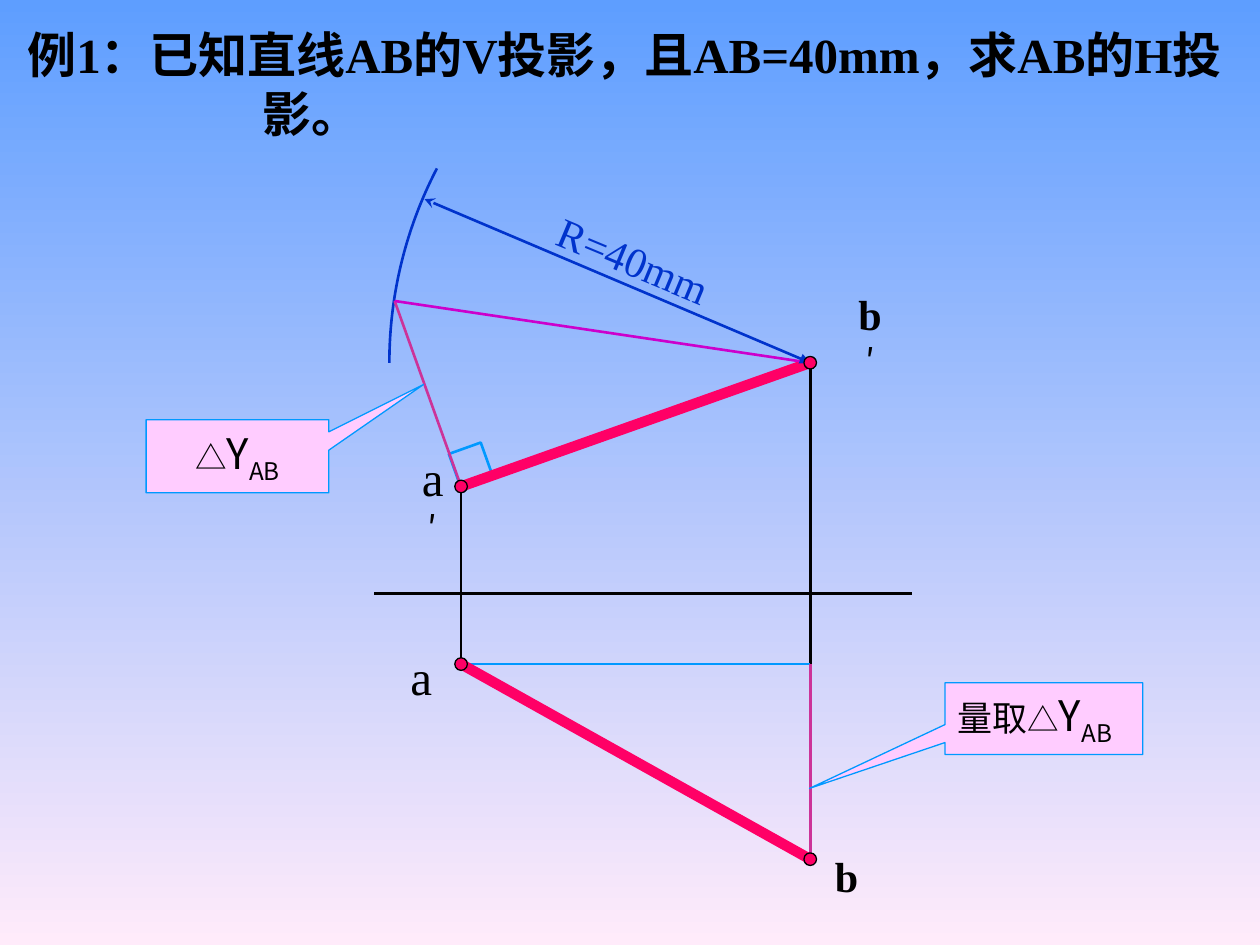
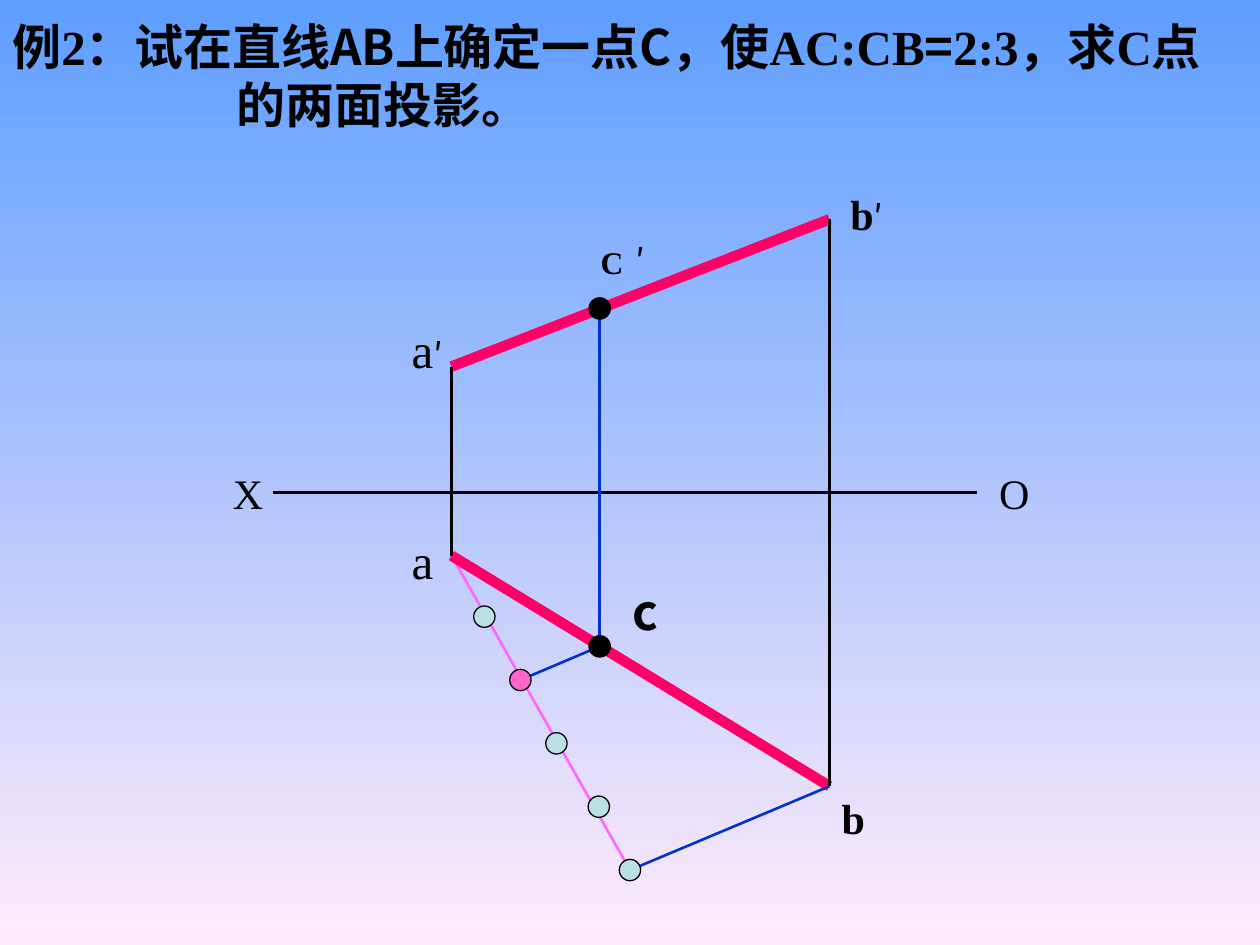
import pptx
import pptx.util
import pptx.dml.color
import pptx.enum.shapes
import pptx.enum.text
import pptx.oxml
import pptx.oxml.ns
from dataclasses import dataclass

Pt = pptx.util.Pt
RGB = pptx.dml.color.RGBColor.from_string
Shape = pptx.enum.shapes.MSO_SHAPE
Anchor = pptx.enum.text.MSO_ANCHOR
Align = pptx.enum.text.PP_ALIGN
NAMESPACE = pptx.oxml.ns.nsdecls("a")


@dataclass(frozen=True)
class Theme:
    sky: str = "5E9EFF"
    blush: str = "FFEBFA"
    black: str = "000000"
    segment: str = "FF0066"
    blue: str = "0033CC"
    cyan: str = "0099FF"
    difference: str = "CC3399"
    true_length: str = "CC00CC"
    ray: str = "FF66FF"
    callout: str = "FFCCFF"
    division: str = "BBE0E3"
    chosen: str = "FF66CC"
    cjk: str = "Noto Sans CJK SC"
    roman: str = "Times New Roman"
    large: int = 28
    medium: int = 24
    prime: int = 20
    small: int = 18
    thin: float = 0.75
    normal: float = 1.5
    thick: float = 6


theme = Theme()


def write(shape, runs, color=theme.black, align=Align.LEFT, anchor=Anchor.TOP,
          wrap=True, hanging=0):
    """Fill shape with one paragraph; runs are (text, size, font, bold, baseline)."""
    frame = shape.text_frame
    frame.word_wrap = wrap
    frame.vertical_anchor = anchor
    para = frame.paragraphs[0]
    para.alignment = align
    if hanging:
        properties = para._p.get_or_add_pPr()
        properties.set("marL", str(Pt(hanging)))
        properties.set("indent", str(-Pt(hanging)))
    for text, size, font, bold, baseline in runs:
        span = para.add_run()
        span.text = text
        span.font.size = Pt(size)
        span.font.bold = bold
        span.font.color.rgb = RGB(color)
        span.font.name = font
        properties = span._r.get_or_add_rPr()
        properties.append(pptx.oxml.parse_xml(f'<a:ea {NAMESPACE} typeface="{font}"/>'))
        if baseline:
            properties.set("baseline", str(baseline * 1000))


def draw_line(page, start, end, color, weight=theme.normal, head=None, tail=None):
    """Draw a straight line; head is the arrowhead at start, tail the one at end."""
    line = page.shapes.add_connector(
        pptx.enum.shapes.MSO_CONNECTOR.STRAIGHT, *map(Pt, start + end))
    line.line.color.rgb = RGB(color)
    line.line.width = Pt(weight)
    for tag, arrow in (("headEnd", head), ("tailEnd", tail)):
        if arrow:
            line.line._get_or_add_ln().append(
                pptx.oxml.parse_xml(f'<a:{tag} {NAMESPACE} type="{arrow}"/>'))
    line._element.spPr.append(pptx.oxml.parse_xml(f"<a:effectLst {NAMESPACE}/>"))


deck = pptx.Presentation()
deck.slide_width, deck.slide_height = Pt(720), Pt(540)

# Titles: pieces between bars alternate between the CJK and the roman font
titles = [
    ("例|1|：已知直线|AB|的|V|投影，且|AB=40mm|，求|AB|的|H|投影。",
     (8.6, 12.2, 708.5, 70.6), 134.6),
    ("例|2|：试在直线AB上确定一点C，使|AC:CB|=|2:3|，求|C|点的两面投影。",
     (0, -2.2, 720, 90), 128.2),
]
pages = []
for title, place, hanging in titles:
    page = deck.slides.add_slide(deck.slide_layouts[6])
    fill = page.background.fill
    fill.gradient()
    fill.gradient_angle = 270
    for stop, color, position in zip(fill.gradient_stops, (theme.sky, theme.blush), (0, 1)):
        stop.color.rgb = RGB(color)
        stop.position = position
    box = page.shapes.add_textbox(*map(Pt, place))
    fonts = (theme.cjk, theme.roman)
    write(box, [(piece, theme.large, fonts[index % 2], True, 0)
                for index, piece in enumerate(title.split("|"))],
          anchor=Anchor.MIDDLE, hanging=hanging)
    pages.append(page)
length_page, ratio_page = pages

# Example 1: true length by a right triangle
a_front, b_front = (263.5, 278), (463, 207.3)
a_top, b_top = (263.5, 379.5), (463, 491)
apex, corner = (225.5, 172), (463, 379.5)
radius = 240.5

square = length_page.shapes.add_shape(Shape.RECTANGLE, Pt(259.2), Pt(255.6), Pt(19.4), Pt(19.4))
square.rotation = 340.3
arc = length_page.shapes.add_shape(
    Shape.ARC, Pt(b_front[0] - radius), Pt(b_front[1] - radius), Pt(2 * radius), Pt(2 * radius))
for index, degrees in enumerate((180, 207.5)):
    arc.adjustments[index] = degrees * 0.6
for outline, color in ((square, theme.cyan), (arc, theme.blue)):
    outline.shadow.inherit = False
    outline.fill.background()
    outline.line.color.rgb = RGB(color)
    outline.line.width = Pt(theme.normal)

for start, end, color, weight in [
    ((214, 339), (521, 339), theme.black, theme.normal),
    (a_front, a_top, theme.black, theme.normal),
    (b_front, corner, theme.black, theme.normal),
    (a_front, b_front, theme.segment, theme.thick),
    (apex, a_front, theme.difference, theme.normal),
    (apex, b_front, theme.true_length, theme.normal),
    (a_top, corner, theme.cyan, theme.normal),
    (corner, b_top, theme.difference, theme.normal),
    (a_top, b_top, theme.segment, theme.thick),
]:
    draw_line(length_page, start, end, color, weight)
draw_line(length_page, b_front, (242.6, 113.8), theme.blue, head="triangle", tail="stealth")

radius_label = length_page.shapes.add_textbox(Pt(292), Pt(130.5), Pt(140), Pt(36))
radius_label.rotation = 22.6
write(radius_label, [("R=40mm", theme.medium, theme.roman, False, 0)], color=theme.blue,
      align=Align.CENTER, anchor=Anchor.MIDDLE)

delta_y = [("△", theme.small, theme.cjk, False, 0),
           ("Y", theme.medium, theme.cjk, False, 0),
           ("AB", theme.medium, theme.cjk, False, -25)]
measure = [("量取", theme.prime, theme.cjk, False, 0)]
for place, pointer, runs, align in [
    ((540, 390.2, 113, 41), (-1.185, 0.973), measure + delta_y, Align.LEFT),
    ((83.5, 239.8, 104.4, 41.8), (1.019, -0.982), delta_y, Align.CENTER),
]:
    callout = length_page.shapes.add_shape(Shape.RECTANGULAR_CALLOUT, *map(Pt, place))
    callout.adjustments[0], callout.adjustments[1] = pointer
    callout.shadow.inherit = False
    callout.fill.solid()
    callout.fill.fore_color.rgb = RGB(theme.callout)
    callout.line.color.rgb = RGB(theme.cyan)
    callout.line.width = Pt(theme.thin)
    write(callout, runs, align=align, anchor=Anchor.MIDDLE, wrap=False)

# Example 2: dividing the segment in the ratio 2:3
a2_front, b2_front, c2_front = (258, 209.5), (474, 125.3), (342.7, 176.3)
a2_top, b2_top, c2_top = (258, 317.5), (474, 449.3), (342.7, 369.4)
division_xs = (276.8, 297.4, 318, 342.2, 360)
divisions = [(x, 352.4 + 36.2 * step) for step, x in enumerate(division_xs)]

for start, end, color, weight in [
    ((156, 281.3), (558, 281.3), theme.black, theme.normal),
    (a2_top, divisions[-1], theme.ray, theme.normal),
    (a2_front, b2_front, theme.segment, theme.thick),
    (a2_top, b2_top, theme.segment, theme.thick),
    (a2_front, a2_top, theme.black, theme.normal),
    (b2_front, b2_top, theme.black, theme.normal),
    (divisions[-1], b2_top, theme.blue, theme.normal),
    (divisions[1], c2_top, theme.blue, theme.normal),
    (c2_top, c2_front, theme.blue, theme.normal),
]:
    draw_line(ratio_page, start, end, color, weight)

# Point marks
marks = [(length_page, point, 7.2, theme.segment) for point in (a_front, b_front, a_top, b_top)]
marks += [(ratio_page, point, 12.2, theme.chosen if step == 1 else theme.division)
          for step, point in enumerate(divisions)]
marks += [(ratio_page, point, 12.2, theme.black) for point in (c2_front, c2_top)]
for page, (x, y), size, color in marks:
    dot = page.shapes.add_shape(
        Shape.OVAL, Pt(x - size / 2), Pt(y - size / 2), Pt(size), Pt(size))
    dot.shadow.inherit = False
    dot.fill.solid()
    dot.fill.fore_color.rgb = RGB(color)
    dot.line.color.rgb = RGB(theme.black)
    dot.line.width = Pt(theme.thin)

# Point labels
a_name = ("a", theme.large, theme.roman, False, 0)
b_name = ("b", theme.medium, theme.roman, True, 0)
prime = ("′", theme.prime, theme.cjk, False, 0)
centred = dict(align=Align.CENTER, anchor=Anchor.MIDDLE)
for page, place, runs, layout in [
    (length_page, (231.8, 264.2, 31, 41), [a_name, prime], centred),
    (length_page, (481, 173.5, 32.4, 36), [b_name, prime], centred),
    (length_page, (227.5, 365.8, 26.6, 41), [a_name], centred),
    (length_page, (465.8, 482.4, 36, 36), [b_name], centred),
    (ratio_page, (228.2, 299.5, 41.8, 41), [a_name], {}),
    (ratio_page, (473.8, 449.3, 48.2, 36), [b_name], {}),
    (ratio_page, (228.2, 179.3, 48.2, 41), [a_name, prime], {}),
    (ratio_page, (478.8, 104.4, 66.2, 36), [b_name, prime], {}),
    (ratio_page, (336.2, 125.3, 72, 41),
     [("C", theme.small, theme.roman, True, 0), (" ", theme.large, theme.roman, False, 0), prime], {}),
    (ratio_page, (354.2, 329, 54, 41), [("c", theme.large, theme.cjk, True, 0)], {}),
    (ratio_page, (126, 263.5, 30.2, 36), [("X", theme.medium, theme.roman, False, 0)], {}),
    (ratio_page, (563.8, 263.5, 36, 36), [("O", theme.medium, theme.roman, False, 0)], {}),
]:
    write(page.shapes.add_textbox(*map(Pt, place)), runs, **layout)

deck.save("out.pptx")
